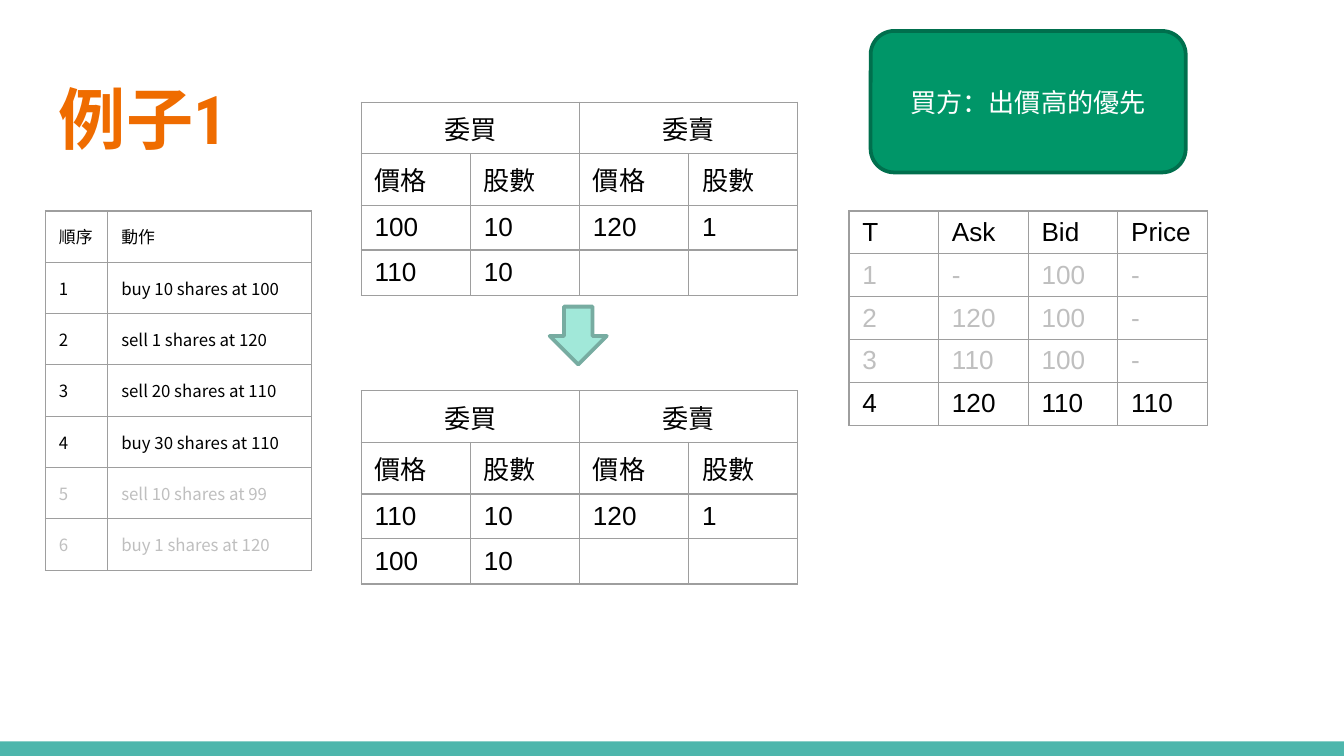
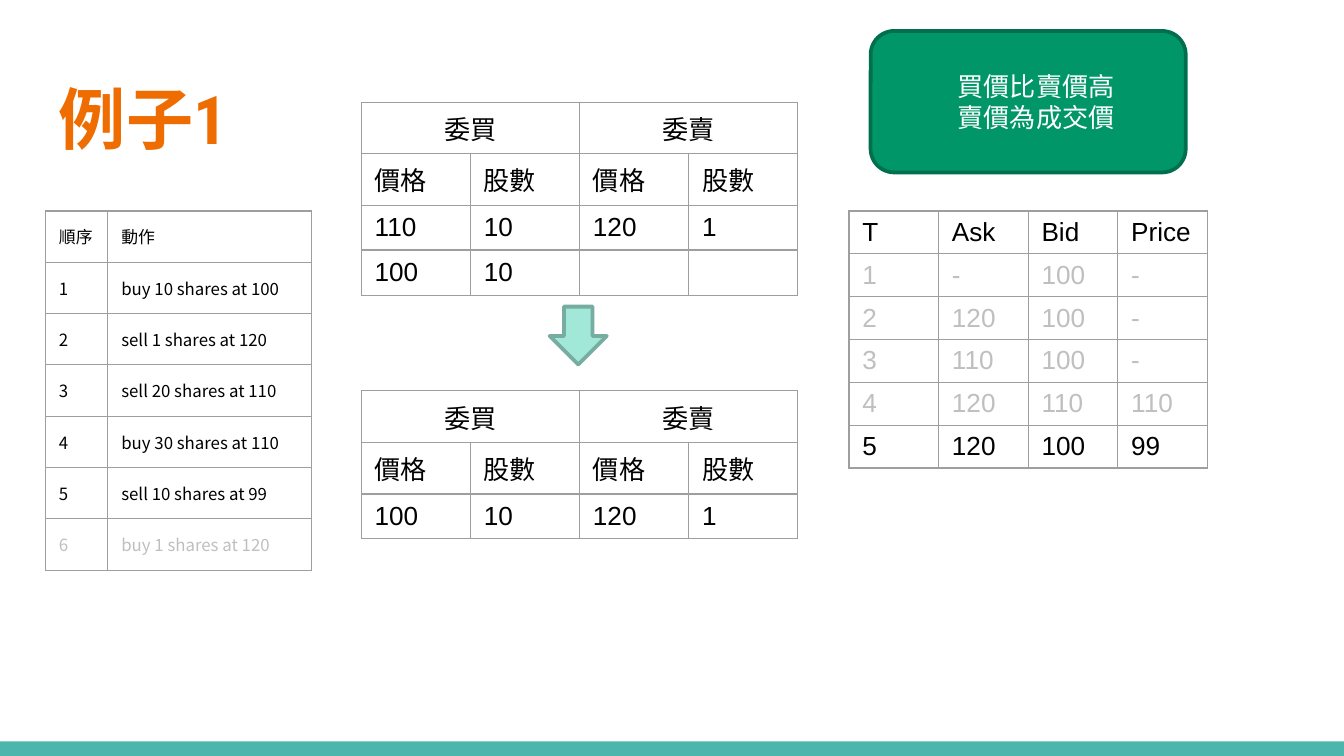
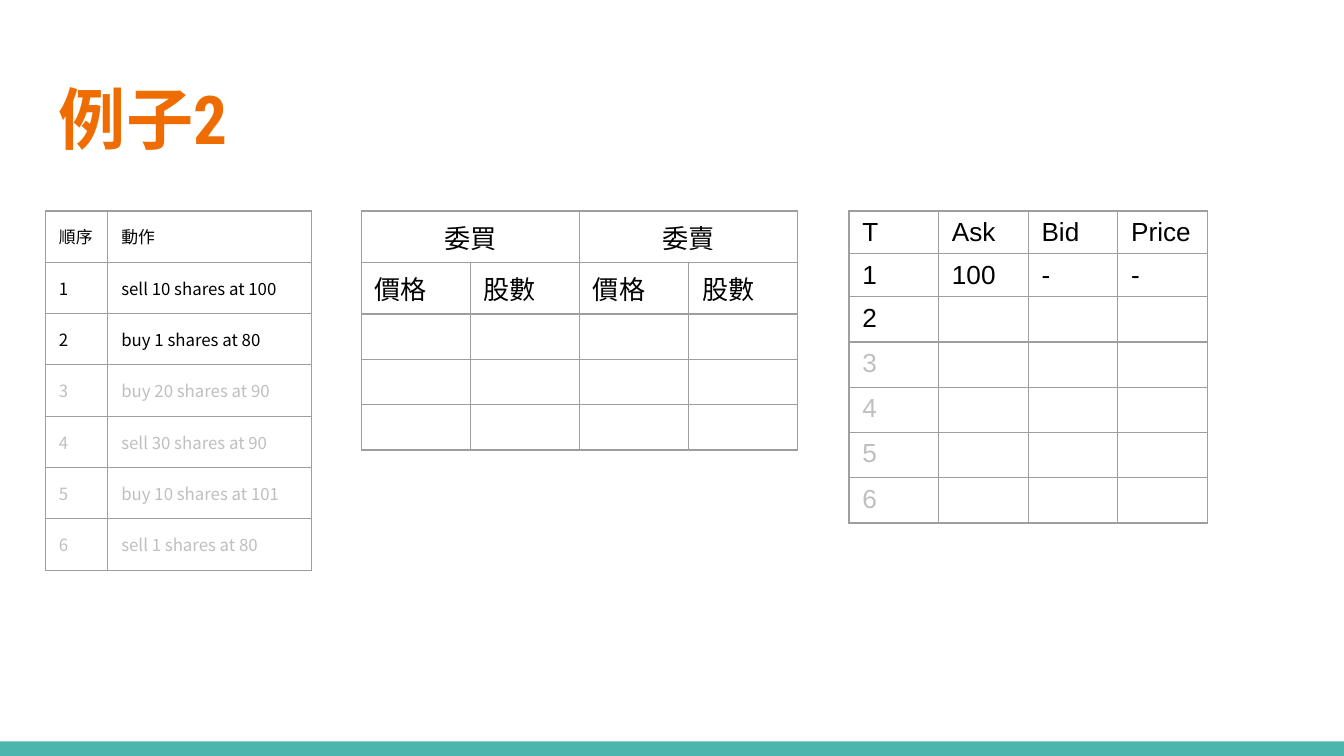
from lxml import etree
from pptx import Presentation
from pptx.dml.color import RGBColor
from pptx.enum.shapes import MSO_SHAPE
from pptx.enum.text import MSO_ANCHOR, MSO_AUTO_SIZE, PP_ALIGN
from pptx.oxml.ns import qn
from pptx.util import Pt

RECTANGLE, ROUNDED = MSO_SHAPE.RECTANGLE, MSO_SHAPE.ROUNDED_RECTANGLE
DOWN_ARROW = MSO_SHAPE.DOWN_ARROW
TOP, MIDDLE = MSO_ANCHOR.TOP, MSO_ANCHOR.MIDDLE
LEFT, CENTER = PP_ALIGN.LEFT, PP_ALIGN.CENTER

ORANGE = RGBColor(0xEF, 0x6C, 0x00)
TEAL = RGBColor(0x4D, 0xB6, 0xAC)
MINT = RGBColor(0xA1, 0xE8, 0xD9)
MINT_EDGE = RGBColor(0x77, 0xAC, 0xA1)
GREEN = RGBColor(0x00, 0x96, 0x68)
GREEN_EDGE = RGBColor(0x00, 0x6F, 0x4D)
BLACK = RGBColor(0x00, 0x00, 0x00)
WHITE = RGBColor(0xFF, 0xFF, 0xFF)
FADED = RGBColor(0xBF, 0xBF, 0xBF)
GRID = RGBColor(0x9E, 0x9E, 0x9E)

TITLE_FONT, TABLE_FONT, CJK_FONT = "Roboto Condensed", "Arial", "Noto Sans CJK TC"

# Content: orders, order books before and after, and the price log
ORDERS_1 = ["buy 10 shares at 100", "sell 1 shares at 120", "sell 20 shares at 110",
            "buy 30 shares at 110", "sell 10 shares at 99", "buy 1 shares at 120"]
ORDERS_2 = ["sell 10 shares at 100", "buy 1 shares at 80", "buy 20 shares at 90",
            "sell 30 shares at 90", "buy 10 shares at 101", "sell 1 shares at 80"]
PRICES_1 = [("-", "100", "-"), ("120", "100", "-"), ("110", "100", "-"),
            ("120", "110", "110"), ("120", "100", "99")]
EMPTY_PRICE = ("", "", "")

ORDER_HEAD = ("順序", "動作")
BOOK_HEAD = [("委買", "", "委賣", ""), ("價格", "股數", "價格", "股數")]
PRICE_HEAD = ("T", "Ask", "Bid", "Price")
UNSORTED = [("100", "10", "120", "1"), ("110", "10", "", "")]
SORTED = [("110", "10", "120", "1"), ("100", "10", "", "")]
MATCHED = [("100", "10", "120", "1")]

BEFORE_TOP, AFTER_TOP, TABLE_TOP = 54.7, 209.4, 113
PAGES = [
    {"title": "例子1", "orders": ORDERS_1, "orders_done": 4,
     "books": [(BEFORE_TOP, UNSORTED), (AFTER_TOP, SORTED)],
     "prices": PRICES_1[:4], "current": {4}, "rule": ["買方：出價高的優先"], "indent": 0},
    {"title": "例子1", "orders": ORDERS_1, "orders_done": 5,
     "books": [(BEFORE_TOP, SORTED), (AFTER_TOP, MATCHED)],
     "prices": PRICES_1, "current": {5}, "rule": ["買價比賣價高", "賣價為成交價"], "indent": 8.64},
    {"title": "例子2", "orders": ORDERS_2, "orders_done": 2,
     "books": [(TABLE_TOP, [("", "", "", "")] * 3)],
     "prices": [("100", "-", "-")] + [EMPTY_PRICE] * 5, "current": {1, 2}, "rule": []},
]


def write_text(frame, lines, size=14, font=TABLE_FONT, color=BLACK, align=LEFT,
               bold=False, indent=0):
    """Fill a text frame with one paragraph per line."""
    for number, line in enumerate(lines):
        para = frame.add_paragraph() if number else frame.paragraphs[0]
        para.alignment = align
        if indent:
            properties = para._p.get_or_add_pPr()
            properties.set("marL", str(Pt(indent)))
            properties.set("indent", "0")
        if not line:  # keeps an empty cell as low as its neighbours
            etree.SubElement(para._p, qn("a:endParaRPr"), sz=str(size * 100))
            continue
        span = para.add_run()
        span.text = line
        span.font.size, span.font.name, span.font.bold = Pt(size), font, bold
        span.font.color.rgb = color
        latin = span.font._element.find(qn("a:latin"))
        latin.addnext(etree.Element(qn("a:ea"), typeface=CJK_FONT))


def add_box(page, kind, left, top, width, height, fill, edge=None):
    box = page.shapes.add_shape(kind, Pt(left), Pt(top), Pt(width), Pt(height))
    box.shadow.inherit = False
    box.fill.solid()
    box.fill.fore_color.rgb = fill
    if edge is None:
        box.line.fill.background()
    else:
        box.line.color.rgb = edge
        box.line.width = Pt(2)
    return box


def draw_borders(cell):
    properties = cell._tc.get_or_add_tcPr()
    for position, side in enumerate(("a:lnL", "a:lnR", "a:lnT", "a:lnB")):
        line = etree.Element(qn(side), w=str(Pt(0.75)))
        fill = etree.SubElement(line, qn("a:solidFill"))
        etree.SubElement(fill, qn("a:srgbClr"), val=str(GRID))
        properties.insert(position, line)


def add_grid(page, left, top, widths, heights, rows, faded=(), anchor=MIDDLE,
             inset=None, centered=(), **style):
    """Add a bordered table; rows listed in faded are grey."""
    holder = page.shapes.add_table(len(rows), len(widths), Pt(left), Pt(top),
                                   Pt(sum(widths)), Pt(sum(heights)))
    table = holder.table
    table.first_row = table.horz_banding = False
    for column, width in zip(table.columns, widths):
        column.width = Pt(width)
    for index, (row, height) in enumerate(zip(rows, heights)):
        table.rows[index].height = Pt(height)
        for cell, text in zip(table.rows[index].cells, row):
            cell.fill.background()
            draw_borders(cell)
            cell.vertical_anchor = anchor
            if inset is not None:
                cell.margin_left = cell.margin_right = Pt(inset)
                cell.margin_top = cell.margin_bottom = Pt(inset)
            write_text(cell.text_frame, [text], color=FADED if index in faded else BLACK,
                       align=CENTER if index in centered else LEFT, **style)
    return holder


def add_title(page, text):
    title = page.shapes.title
    title.left, title.top, title.width, title.height = Pt(24.4), Pt(35.3), Pt(671), Pt(55.4)
    frame = title.text_frame
    frame.margin_left = frame.margin_right = frame.margin_top = frame.margin_bottom = Pt(7.2)
    frame.vertical_anchor = MIDDLE
    frame.auto_size = MSO_AUTO_SIZE.NONE
    write_text(frame, [text], size=36, font=TITLE_FONT, color=ORANGE, bold=True)


def add_orders(page, orders, done):
    rows = [ORDER_HEAD] + [(str(number), order) for number, order in enumerate(orders, 1)]
    add_grid(page, 24.4, TABLE_TOP, [33.4, 109], [24.5] + [25.7] * len(orders), rows,
             faded=range(done + 1, len(rows)), inset=7.2, size=9, font=CJK_FONT)


def add_book(page, top, entries):
    rows = BOOK_HEAD + entries
    table = add_grid(page, 193.5, top, [58.5] * 4, [24] * len(rows), rows, centered={0}).table
    for first in (0, 2):
        table.cell(0, first).merge(table.cell(0, first + 1))


def add_prices(page, prices, current):
    rows = [PRICE_HEAD] + [(str(time), *values) for time, values in enumerate(prices, 1)]
    holder = add_grid(page, 454.8, TABLE_TOP, [48] * 4, [13] * len(rows), rows,
                      faded=set(range(1, len(rows))) - current, anchor=TOP)
    holder.height = Pt(24 * len(rows))


def add_rule(page, lines, indent):
    add_box(page, DOWN_ARROW, 294.5, 164.3, 30.6, 31, MINT, MINT_EDGE)
    callout = add_box(page, ROUNDED, 466.4, 16.6, 168.8, 75.8, GREEN, GREEN_EDGE)
    callout.text_frame.word_wrap = True
    callout.text_frame.vertical_anchor = MIDDLE
    write_text(callout.text_frame, lines, font=CJK_FONT, color=WHITE, align=CENTER, indent=indent)


def main():
    deck = Presentation()
    deck.slide_width, deck.slide_height = Pt(720), Pt(405)
    layout = deck.slide_layouts[5]
    for number, content in enumerate(PAGES):
        page = deck.slides.add_slide(layout)
        if number == 0:  # the bottom band belongs to the shared layout
            band = add_box(page, RECTANGLE, 0, 397.2, 720, 7.8, TEAL)
            band.element.nvSpPr.cNvPr.set("id", "20")
            layout.shapes.element.insert(2, band.element)
        add_title(page, content["title"])
        add_orders(page, content["orders"], content["orders_done"])
        for top, entries in content["books"]:
            add_book(page, top, entries)
        add_prices(page, content["prices"], content["current"])
        if content["rule"]:
            add_rule(page, content["rule"], content["indent"])
    deck.save("out.pptx")


if __name__ == "__main__":
    main()
